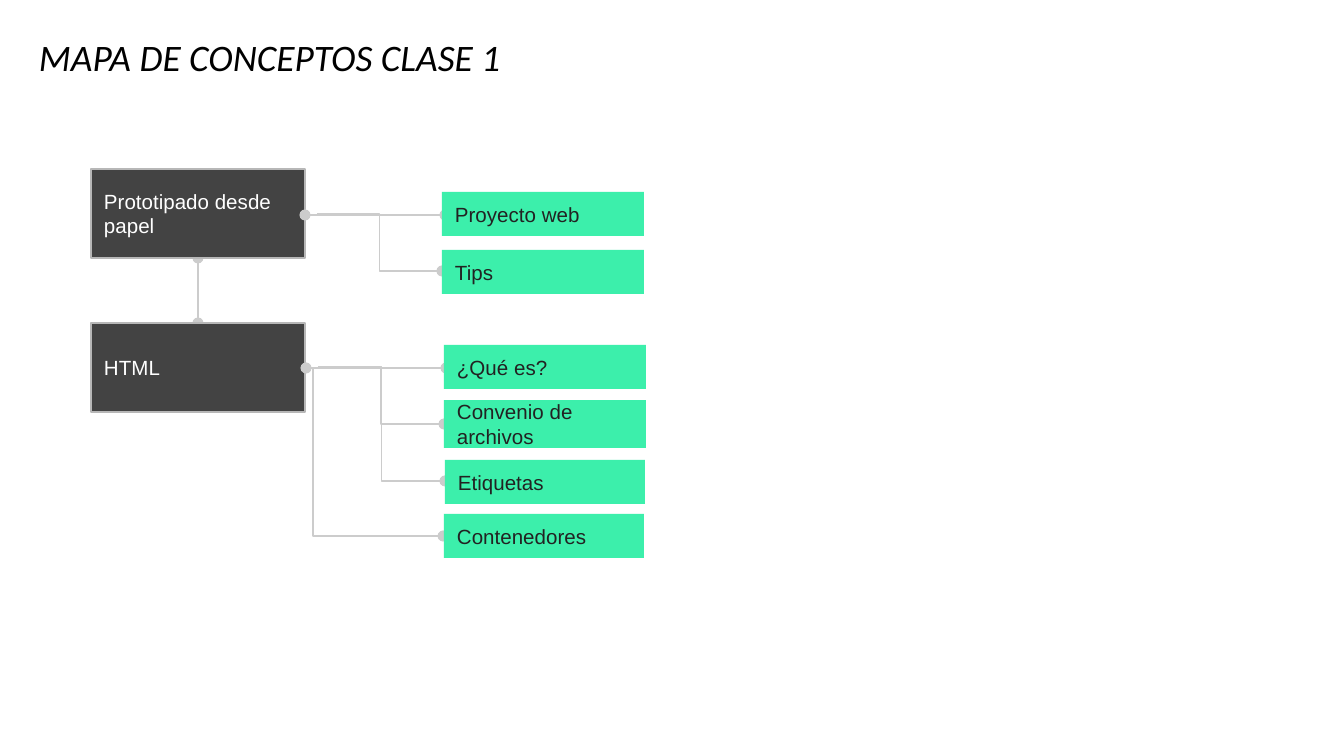
"""Builds the concept map slide for class 1."""
from dataclasses import dataclass

from lxml.etree import SubElement
from pptx import Presentation
from pptx.dml.color import RGBColor
from pptx.enum.shapes import MSO_CONNECTOR, MSO_SHAPE
from pptx.enum.text import MSO_ANCHOR, PP_ALIGN
from pptx.oxml.ns import qn
from pptx.util import Emu, Pt


@dataclass(frozen=True)
class Theme:
    dark: str = "434343"
    edge: str = "B7B7B7"
    mint: str = "3CEFAB"
    link: str = "CCCCCC"
    black: str = "000000"
    white: str = "FFFFFF"
    ink: str = "222222"
    title: int = 20
    body: int = 11
    rule: float = 0.75


theme = Theme()
SCALE = 914400 / 134.4


def px(*sizes):
    return [Emu(round(size * SCALE)) for size in sizes]


def write(shape, text, size, color, font, anchor):
    frame = shape.text_frame
    frame.word_wrap = True
    frame.vertical_anchor = anchor
    frame.margin_left = frame.margin_right = px(13)[0]
    frame.margin_top = frame.margin_bottom = px(13)[0]
    para = frame.paragraphs[0]
    para.alignment = PP_ALIGN.LEFT
    run = para.add_run()
    run.text = text
    run.font.size = Pt(size)
    run.font.name = font
    run.font.color.rgb = RGBColor.from_string(color)
    return run


deck = Presentation()
deck.slide_width, deck.slide_height = px(1344, 756)
slide = deck.slides.add_slide(deck.slide_layouts[6])
shapes = slide.shapes

title = shapes.add_textbox(*px(26, 30, 1110, 62))
run = write(title, "MAPA DE CONCEPTOS CLASE 1", theme.title, theme.black, "Calibri", MSO_ANCHOR.BOTTOM)
run.font.italic = True

topics = [
    ("Prototipado desde papel", 91, 169, 214, 89, theme.dark, theme.white),
    ("HTML", 91, 323, 214, 89, theme.dark, theme.white),
]
ideas = [
    ("Proyecto web", 442, 192, 202, 44, theme.mint, theme.ink),
    ("Tips", 442, 250, 202, 44, theme.mint, theme.ink),
    ("¿Qué es?", 444, 345, 202, 44, theme.mint, theme.ink),
    ("Convenio de archivos", 444, 400, 202, 48, theme.mint, theme.ink),
    ("Etiquetas", 445, 460, 200, 44, theme.mint, theme.ink),
    ("Contenedores", 444, 514, 200, 44, theme.mint, theme.ink),
]
spine = [("line", 198, 258, 198, 323)]
links = [
    ("line", 305, 215, 445, 215),
    ("bent", 317, 214, 442, 271),
    ("line", 306, 368, 446, 368),
    ("bent", 318, 367, 444, 424),
    ("bent", 318, 367, 445, 481),
    ("corner", 462, 387, 294, 517),
]

for lines, boxes in ((spine, topics), (links, ideas)):
    for kind, *ends in lines:
        form = MSO_CONNECTOR.STRAIGHT if kind == "line" else MSO_CONNECTOR.ELBOW
        link = shapes.add_connector(form, *px(*ends))
        link.line.color.rgb = RGBColor.from_string(theme.link)
        link.line.width = Pt(theme.rule)
        props = link._element.spPr
        stroke = props.find(qn("a:ln"))
        if kind == "line":
            SubElement(stroke, qn("a:headEnd"), type="oval")
        SubElement(stroke, qn("a:tailEnd"), type="oval")
        SubElement(props, qn("a:effectLst"))
        if kind == "corner":
            props.find(qn("a:xfrm")).set("rot", "16200000")
            props.find(qn("a:prstGeom")).set("prst", "bentConnector2")

    for text, left, top, width, height, fill, color in boxes:
        box = shapes.add_shape(MSO_SHAPE.RECTANGLE, *px(left, top, width, height))
        box.shadow.inherit = False
        box.fill.solid()
        box.fill.fore_color.rgb = RGBColor.from_string(fill)
        if fill == theme.dark:
            box.line.color.rgb = RGBColor.from_string(theme.edge)
            box.line.width = Pt(theme.rule)
        else:
            box.line.fill.background()
        write(box, text, theme.body, color, "Arial", MSO_ANCHOR.MIDDLE)

deck.save("out.pptx")
